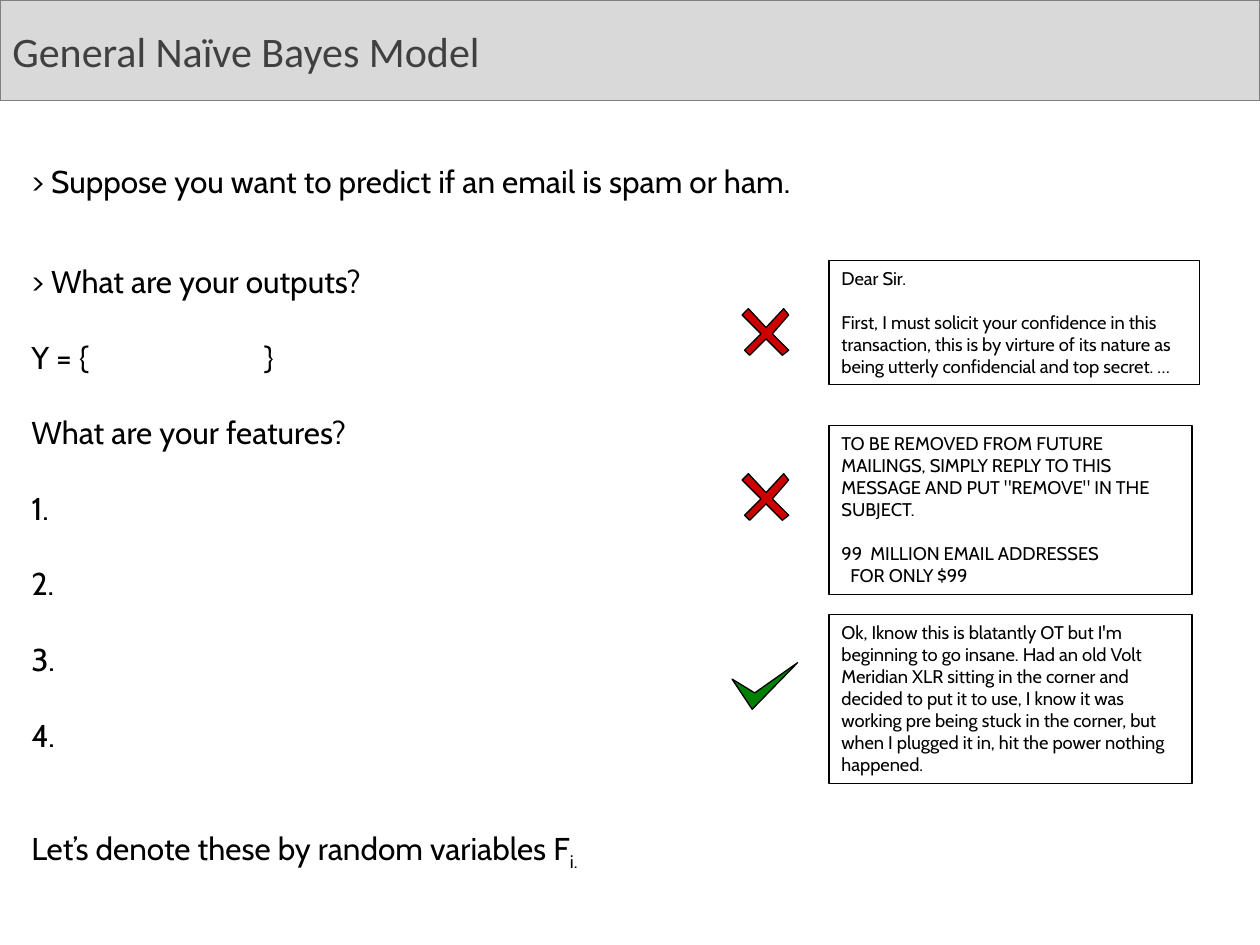
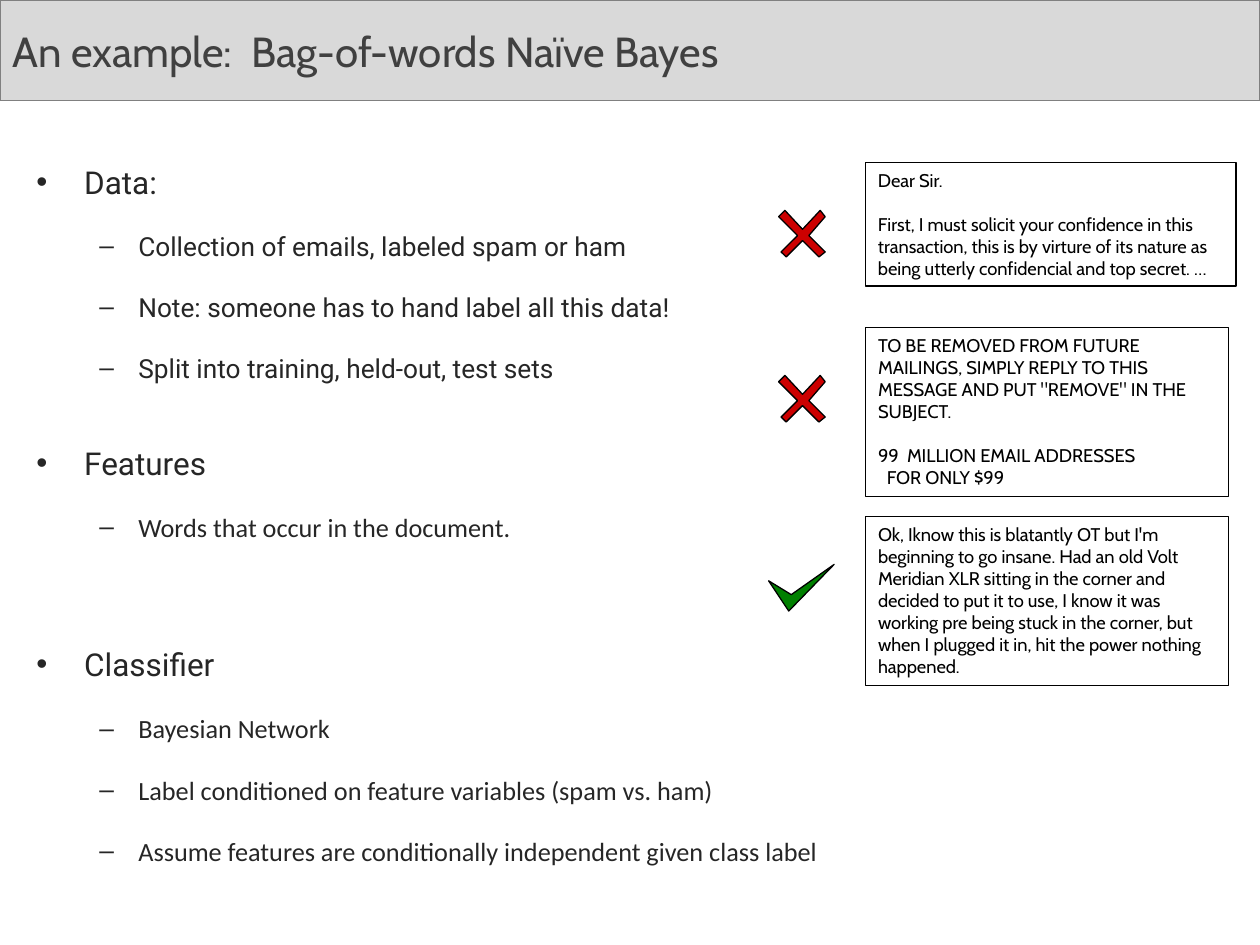
import pptx
import pptx.dml.color
import pptx.enum.shapes
import pptx.enum.text
import pptx.oxml.ns
import pptx.util
from lxml import etree
from pptx.util import Inches

RGBColor = pptx.dml.color.RGBColor
BLACK = RGBColor(0x00, 0x00, 0x00)
TITLE_GRAY = RGBColor(0x40, 0x40, 0x40)
BODY_GRAY = RGBColor(0x26, 0x26, 0x26)
BAND_FILL = RGBColor(0xD9, 0xD9, 0xD9)
BAND_LINE = RGBColor(0x80, 0x80, 0x80)
SPAM_RED = RGBColor(0xCC, 0x00, 0x00)
HAM_GREEN = RGBColor(0x00, 0x80, 0x00)

# Outlines in inches: the cross starts at its left arm, the check at its foot.
CROSS = [(0, 0.05), (0.15, 0.2), (0.02, 0.33), (0.06, 0.37), (0.19, 0.24), (0.32, 0.37),
         (0.37, 0.33), (0.24, 0.2), (0.37, 0.05), (0.33, 0), (0.19, 0.15), (0.05, 0)]
CHECK = [(0.16, 0.37), (0.52, 0), (0.18, 0.24), (0, 0.13)]
SPAM = (CROSS, SPAM_RED, -0.69)
HAM = (CHECK, HAM_GREEN, -0.77)

EMAIL_LINE = 12.6
# Each email: mark, offset from the first email, width, height,
# and its paragraphs as (text, space before in points, indent in inches).
EMAILS = [
    (SPAM, 0, 2.94, 0.98, [
        ("Dear Sir.", 0, 0),
        ("First, I must solicit your confidence in this transaction, this is by virture "
         "of its nature as being utterly confidencial and top secret. …", EMAIL_LINE, 0)]),
    (SPAM, 1.31, 2.88, 1.34, [
        ("TO BE REMOVED FROM FUTURE MAILINGS, SIMPLY REPLY TO THIS MESSAGE AND PUT "
         "\"REMOVE\" IN THE SUBJECT.", 0, 0),
        ("99  MILLION EMAIL ADDRESSES", EMAIL_LINE, 0),
        ("FOR ONLY $99", 0, 0.07)]),
    (HAM, 2.81, 2.88, 1.34, [
        ("Ok, Iknow this is blatantly OT but I'm beginning to go insane. Had an old Volt "
         "Meridian XLR sitting in the corner and decided to put it to use, I know it was "
         "working pre being stuck in the corner, but when I plugged it in, hit the power "
         "nothing happened.", 0, 0)]),
]

QUESTION_LINE = 21.6
QUESTIONS = ["> What are your outputs?", "Y = {\t}", "What are your features?",
             "1.", "2.", "3.", "4.", "Let’s denote these by random variables F"]

# Each topic: heading, space before it in points, font of its points, points.
OUTLINE = [
    ("Data:", 0, "Roboto", ["Collection of emails, labeled spam or ham",
                            "Note: someone has to hand label all this data!",
                            "Split into training, held-out, test sets"]),
    ("Features", 38.7, "Calibri", ["Words that occur in the document."]),
    ("Classifier", 63, "Calibri", [
        "Bayesian Network",
        "Label conditioned on feature variables (spam vs. ham)",
        "Assume features are conditionally independent given class label"]),
]


class Deck:
    def __init__(self):
        self.presentation = pptx.Presentation()
        self.presentation.slide_width = Inches(10)
        self.presentation.slide_height = Inches(7.5)
        self.slide = None

    def start_slide(self, title, font):
        self.slide = self.presentation.slides.add_slide(self.presentation.slide_layouts[6])
        band = self.slide.shapes.add_shape(
            pptx.enum.shapes.MSO_SHAPE.RECTANGLE, 0, 0, Inches(10), Inches(0.8))
        self.paint(band, BAND_FILL, BAND_LINE)
        band.text_frame.vertical_anchor = pptx.enum.text.MSO_ANCHOR.MIDDLE
        self.set_text(band.text_frame.paragraphs[0], title, 24, font, TITLE_GRAY)

    def paint(self, shape, fill, line):
        shape.shadow.inherit = False
        shape.fill.solid()
        shape.fill.fore_color.rgb = fill
        shape.line.color.rgb = line
        shape.line.width = pptx.util.Pt(0.75)

    def set_text(self, paragraph, text, size, font, color=BLACK, space_before=0):
        paragraph.text = text
        paragraph.alignment = pptx.enum.text.PP_ALIGN.LEFT
        if space_before:
            paragraph.space_before = pptx.util.Pt(space_before)
        for run in paragraph.runs:
            self.style_run(run, size, font, color)

    def style_run(self, run, size, font, color):
        run.font.size = pptx.util.Pt(size)
        run.font.name = font
        run.font.color.rgb = color

    def text_box(self, left, top, width, height):
        box = self.slide.shapes.add_textbox(
            Inches(left), Inches(top), Inches(width), Inches(height))
        box.text_frame.word_wrap = True
        return box

    def next_paragraph(self, text_frame):
        """Return the first paragraph while it is empty, then new ones."""
        first = text_frame.paragraphs[0]
        return text_frame.add_paragraph() if first.runs else first

    def indent(self, paragraph, left, hanging=0):
        properties = paragraph._p.get_or_add_pPr()
        properties.set("marL", str(Inches(left)))
        properties.set("indent", str(-Inches(hanging)))
        return properties

    def bullet(self, text_frame, character, left, hanging, *style):
        paragraph = self.next_paragraph(text_frame)
        properties = self.indent(paragraph, left, hanging)
        etree.SubElement(properties, pptx.oxml.ns.qn("a:buFont"), typeface="Arial")
        etree.SubElement(properties, pptx.oxml.ns.qn("a:buChar"), char=character)
        paragraph.line_spacing = 0.8
        self.set_text(paragraph, *style)

    def tab_stop(self, paragraph, position):
        properties = paragraph._p.get_or_add_pPr()
        tabs = etree.SubElement(properties, pptx.oxml.ns.qn("a:tabLst"))
        etree.SubElement(tabs, pptx.oxml.ns.qn("a:tab"), pos=str(Inches(position)), algn="l")

    def mark(self, outline, color, left, top):
        points = [(Inches(left + x), Inches(top + y)) for x, y in outline]
        builder = self.slide.shapes.build_freeform(*points[0])
        builder.add_line_segments(points[1:], close=True)
        self.paint(builder.convert_to_shape(), color, BLACK)

    def emails(self, left, top):
        """Stack the sample emails, each with its spam or ham mark to the left."""
        for (outline, color, mark_offset), offset, width, height, paragraphs in EMAILS:
            box = self.text_box(left, top + offset, width, height)
            box.line.color.rgb = BLACK
            box.line.width = pptx.util.Pt(0.75)
            for text, space_before, indent in paragraphs:
                paragraph = self.next_paragraph(box.text_frame)
                if indent:
                    self.indent(paragraph, indent)
                self.set_text(paragraph, text, 10.5, "Cabin", BLACK, space_before)
            self.mark(outline, color, left + mark_offset, top + offset + 0.38)


def build_model_slide(deck):
    deck.start_slide("General Naïve Bayes Model", "Calibri")
    task = deck.text_box(0.15, 1.24, 7.19, 0.4)
    deck.set_text(task.text_frame.paragraphs[0],
                  "> Suppose you want to predict if an email is spam or ham.", 18, "Cabin")
    deck.emails(6.58, 2.07)

    text_frame = deck.text_box(0.15, 2.03, 4.76, 4.95).text_frame
    for index, question in enumerate(QUESTIONS):
        paragraph = deck.next_paragraph(text_frame)
        if "\t" in question:
            deck.tab_stop(paragraph, 1.85)
        deck.set_text(paragraph, question, 18, "Cabin", BLACK, QUESTION_LINE if index else 0)
    paragraph.space_before = pptx.util.Pt(2 * QUESTION_LINE)
    subscript = paragraph.add_run()
    subscript.text = "i."
    deck.style_run(subscript, 18, "Cabin", BLACK)
    subscript._r.get_or_add_rPr().set("baseline", "-25000")


def build_example_slide(deck):
    deck.start_slide("An example:  Bag-of-words Naïve Bayes", "Cabin")
    text_frame = deck.text_box(0.19, 1.3, 6.43, 5.84).text_frame
    for heading, space_before, font, points in OUTLINE:
        deck.bullet(text_frame, "•", 0.38, 0.38, heading, 18, "Roboto", BODY_GRAY, space_before)
        for point in points:
            deck.bullet(text_frame, "–", 0.81, 0.31, point, 15, font, BODY_GRAY, 20.5)
    deck.emails(6.87, 1.29)


def main():
    deck = Deck()
    build_model_slide(deck)
    build_example_slide(deck)
    deck.presentation.save("out.pptx")


if __name__ == "__main__":
    main()
